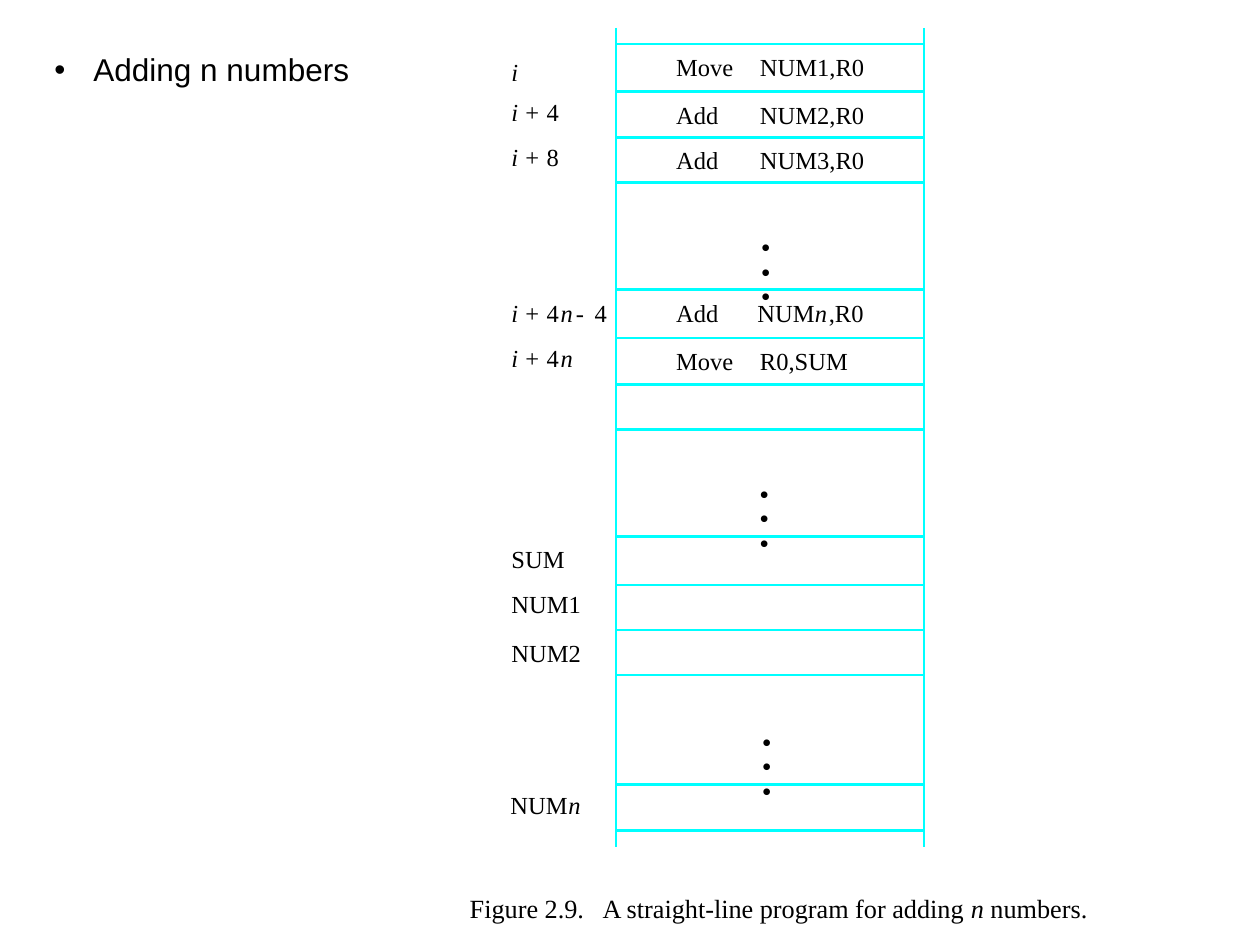
from lxml import etree
from pptx import Presentation
from pptx.dml.color import RGBColor
from pptx.enum import shapes, text
from pptx.oxml.ns import qn
from pptx.util import Cm, Pt

BLACK = RGBColor(0x00, 0x00, 0x00)
CYAN = RGBColor(0x00, 0xFF, 0xFF)
SERIF = "Times New Roman"

presentation = Presentation()
presentation.slide_width, presentation.slide_height = Cm(25.4), Cm(19.05)
slide = presentation.slides.add_slide(presentation.slide_layouts[1])


def add_run(paragraph, wording, size, italic=False, name=SERIF):
    run = paragraph.add_run()
    run.text = wording
    run.font.name, run.font.size, run.font.italic = name, Pt(size), italic
    run.font.color.rgb = BLACK


def add_label(left, top, width, runs, size=14):
    """Add one unwrapped line of text without margins; runs are (wording, italic)."""
    shape = slide.shapes.add_textbox(Cm(left), Cm(top), Cm(width), Cm(0.58))
    frame = shape.text_frame
    frame.word_wrap = False
    frame.auto_size = text.MSO_AUTO_SIZE.SHAPE_TO_FIT_TEXT
    frame.margin_left = frame.margin_right = frame.margin_top = frame.margin_bottom = 0
    for wording, italic in runs:
        add_run(frame.paragraphs[0], wording, size, italic)
    return frame.paragraphs[0]


# Bulleted heading
slide.shapes.title.element.getparent().remove(slide.shapes.title.element)
body = slide.placeholders[1]
body.left, body.top, body.width, body.height = Cm(0.84), Cm(0.89), Cm(7.62), Cm(2.54)
paragraph = body.text_frame.paragraphs[0]
properties = paragraph._p.get_or_add_pPr()
properties.set("marL", str(Cm(0.79)))
properties.set("indent", str(-Cm(0.79)))
bullet = etree.SubElement(properties, qn("a:buChar"))
bullet.set("char", "•")
paragraph.space_before = Pt(0)
add_run(paragraph, "Adding n numbers", 18, name="Arial")

# Memory column: two sides and the lines between the words
LEFT, RIGHT, TOP, BOTTOM = 12.42, 18.63, 0.56, 17.07
ROW_LINES = [0.89, 1.85, 2.77, 3.68, 5.84, 6.81, 7.75, 8.66,
             10.82, 11.79, 12.7, 13.61, 15.82, 16.74]
segments = [(x, TOP, x, BOTTOM) for x in (LEFT, RIGHT)]
segments += [(LEFT, y, RIGHT, y) for y in ROW_LINES]
for segment in segments:
    line = slide.shapes.add_connector(
        shapes.MSO_CONNECTOR.STRAIGHT, *[Cm(length) for length in segment])
    line.line.color.rgb = CYAN
    line.line.width = Pt(1.5)
    etree.SubElement(line._element.spPr, qn("a:effectLst"))

# Addresses: each symbol has its own column
ADDRESS_COLUMNS = [(10.31, 0.15), (10.59, 0.28), (11.02, 0.25),
                   (11.3, 0.25), (11.61, 0.18), (11.99, 0.25)]
for top, symbols in [(1.14, "i"), (1.96, "i+4"), (2.87, "i+8"),
                     (6.01, "i+4n-4"), (6.92, "i+4n")]:
    for (left, width), symbol in zip(ADDRESS_COLUMNS, symbols):
        add_label(left, top, width, [(symbol, symbol in "in")])

# Instructions
for top, operation, width in [(1.04, "Move", 1.17), (2.01, "Add", 0.87),
                              (2.92, "Add", 0.87), (6.0, "Add", 0.87),
                              (6.98, "Move", 1.17)]:
    add_label(13.63, top, width, [(operation, False)])
for top, operand, width in [(1.04, "NUM1,R0", 2.12), (2.01, "NUM2,R0", 2.12),
                            (2.92, "NUM3,R0", 2.12), (6.98, "R0,SUM", 1.78)]:
    add_label(15.32, top, width, [(operand, False)])

# Data names, and the parts of the operand and the name that hold an italic n
for left, top, width, wording in [
        (10.31, 10.97, 1.12, "SUM"), (10.31, 11.88, 1.44, "NUM1"),
        (10.31, 12.86, 1.44, "NUM2"), (10.29, 15.93, 1.19, "NUM"),
        (11.46, 15.93, 0.25, "n"), (15.27, 6.0, 1.19, "NUM"),
        (16.43, 6.0, 0.25, "n"), (16.71, 6.0, 0.72, ",R0")]:
    add_label(left, top, width, [(wording, wording == "n")])

# Vertical dots
for left, top in [(15.09, 3.79), (15.06, 8.75), (15.11, 13.75)]:
    dots = slide.shapes.add_textbox(Cm(left), Cm(top), Cm(0.74), Cm(3.05))
    frame = dots.text_frame
    frame.word_wrap = True
    frame.vertical_anchor = text.MSO_ANCHOR.TOP
    frame.margin_top = Cm(1.03)
    for number in range(3):
        paragraph = frame.add_paragraph() if number else frame.paragraphs[0]
        paragraph.line_spacing = Pt(14)
        add_run(paragraph, "•", 16)

# Caption, with a tab after the figure number
caption = add_label(9.47, 17.98, 12.55, [
    ("Figure 2.9.\tA straight-line program for adding ", False),
    ("n", True), (" numbers.", False)], size=15)
tabs = etree.SubElement(caption._p.get_or_add_pPr(), qn("a:tabLst"))
etree.SubElement(tabs, qn("a:tab"), pos=str(Cm(2.68)), algn="l")

presentation.save("out.pptx")
